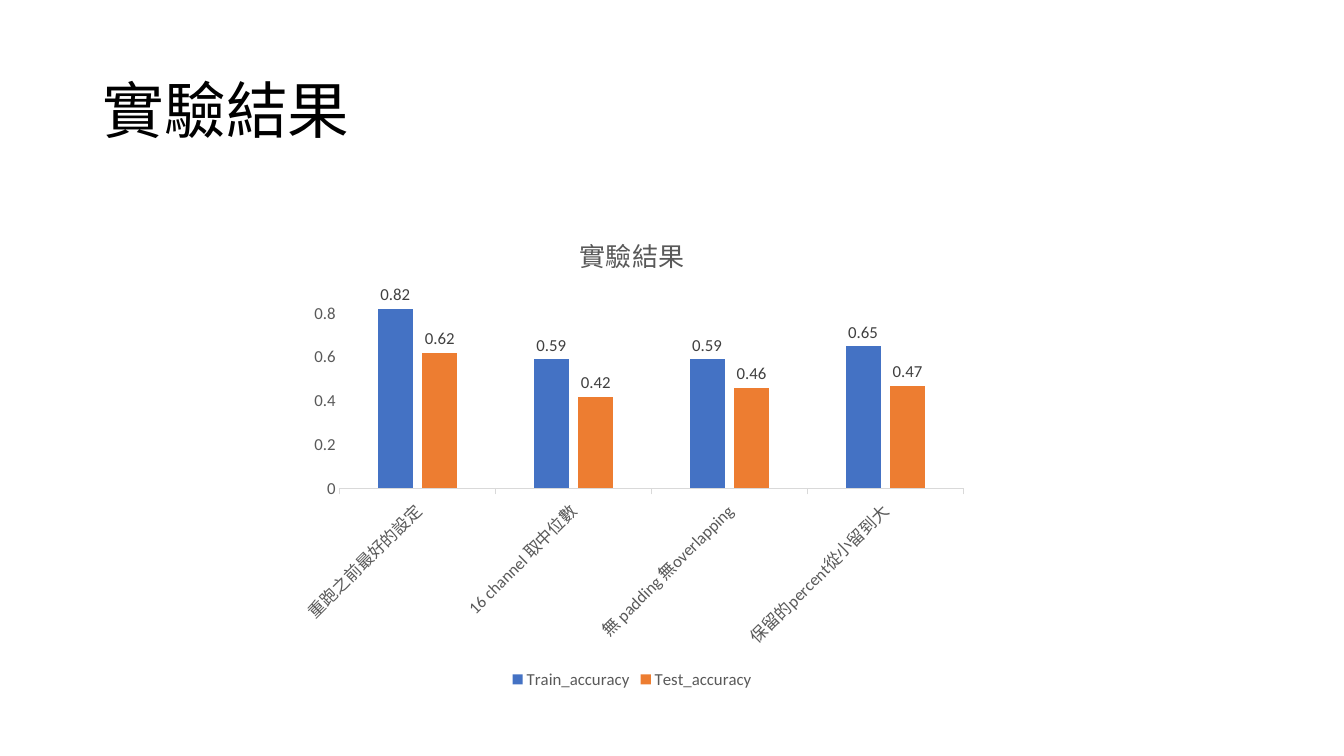
from pptx import Presentation
from pptx.chart.data import CategoryChartData
from pptx.dml.color import RGBColor
from pptx.enum.chart import XL_CHART_TYPE, XL_LABEL_POSITION, XL_LEGEND_POSITION, XL_TICK_MARK
from pptx.enum.text import MSO_ANCHOR, PP_ALIGN
from pptx.util import Inches, Pt

COLUMN = XL_CHART_TYPE.COLUMN_CLUSTERED
OUTSIDE_END = XL_LABEL_POSITION.OUTSIDE_END
BOTTOM = XL_LEGEND_POSITION.BOTTOM
TICK_OUT, TICK_NONE = XL_TICK_MARK.OUTSIDE, XL_TICK_MARK.NONE
MIDDLE, LEFT = MSO_ANCHOR.MIDDLE, PP_ALIGN.LEFT

HEADING = "實驗結果"
CATEGORIES = ["重跑之前最好的設定", "16 channel 取中位數", "無 padding 無overlapping", "保留的percent從小留到大"]
SERIES = [
    ("Train_accuracy", [0.82, 0.59, 0.59, 0.65], "4472C4"),
    ("Test_accuracy", [0.62, 0.42, 0.46, 0.47], "ED7D31"),
]


def rgb(value):
    return RGBColor.from_string(value)


def set_font(font, size, color):
    for name, value in {"name": "Calibri", "size": Pt(size), "bold": False}.items():
        setattr(font, name, value)
    font.color.rgb = rgb(color)


prs = Presentation()
prs.slide_width, prs.slide_height = Inches(13.33), Inches(7.5)
s = prs.slides.add_slide(prs.slide_layouts[5])

title = s.shapes.title
frame = {"left": 0.92, "top": 0.4, "width": 11.5, "height": 1.45}
for name, value in frame.items():
    setattr(title, name, Inches(value))
tf = title.text_frame
tf.vertical_anchor = MIDDLE
p = tf.paragraphs[0]
p.alignment, p.line_spacing = LEFT, 0.9
r = p.add_run()
r.text = HEADING
set_font(r.font, 44, "000000")

data = CategoryChartData()
data.categories = CATEGORIES
for name, values, color in SERIES:
    data.add_series(name, values)
chart = s.shapes.add_chart(
    COLUMN, Inches(2.85), Inches(2.12), Inches(6.84), Inches(4.76), data
).chart
set_font(chart.font, 10, "000000")

chart.has_title = True
r = chart.chart_title.text_frame.paragraphs[0].add_run()
r.text = HEADING
set_font(r.font, 18.6, "595959")
chart.chart_title.include_in_layout = False

chart.has_legend = True
chart.legend.position = BOTTOM
chart.legend.include_in_layout = False
set_font(chart.legend.font, 12, "595959")

for axis, tick in ((chart.category_axis, TICK_OUT), (chart.value_axis, TICK_NONE)):
    axis.major_tick_mark, axis.minor_tick_mark = tick, TICK_NONE
    axis.has_major_gridlines = False
    set_font(axis.tick_labels.font, 12, "595959")

line = chart.category_axis.format.line
line.color.rgb = rgb("D9D9D9")
line.width = Pt(0.75)
chart.category_axis._element.txPr.bodyPr.set("rot", "-2700000")

value_axis = chart.value_axis
value_axis.format.line.fill.background()
scale = {"minimum_scale": 0, "maximum_scale": 0.9, "major_unit": 0.2}
for name, value in scale.items():
    setattr(value_axis, name, value)

plot = chart.plots[0]
plot.gap_width, plot.overlap, plot.vary_by_categories = 219, -27, False
for series, (name, values, color) in zip(plot.series, SERIES):
    series.format.fill.solid()
    series.format.fill.fore_color.rgb = rgb(color)
    labels = series.data_labels
    labels.show_value = True
    labels.position = OUTSIDE_END
    set_font(labels.font, 12, "404040")

prs.save("out.pptx")
